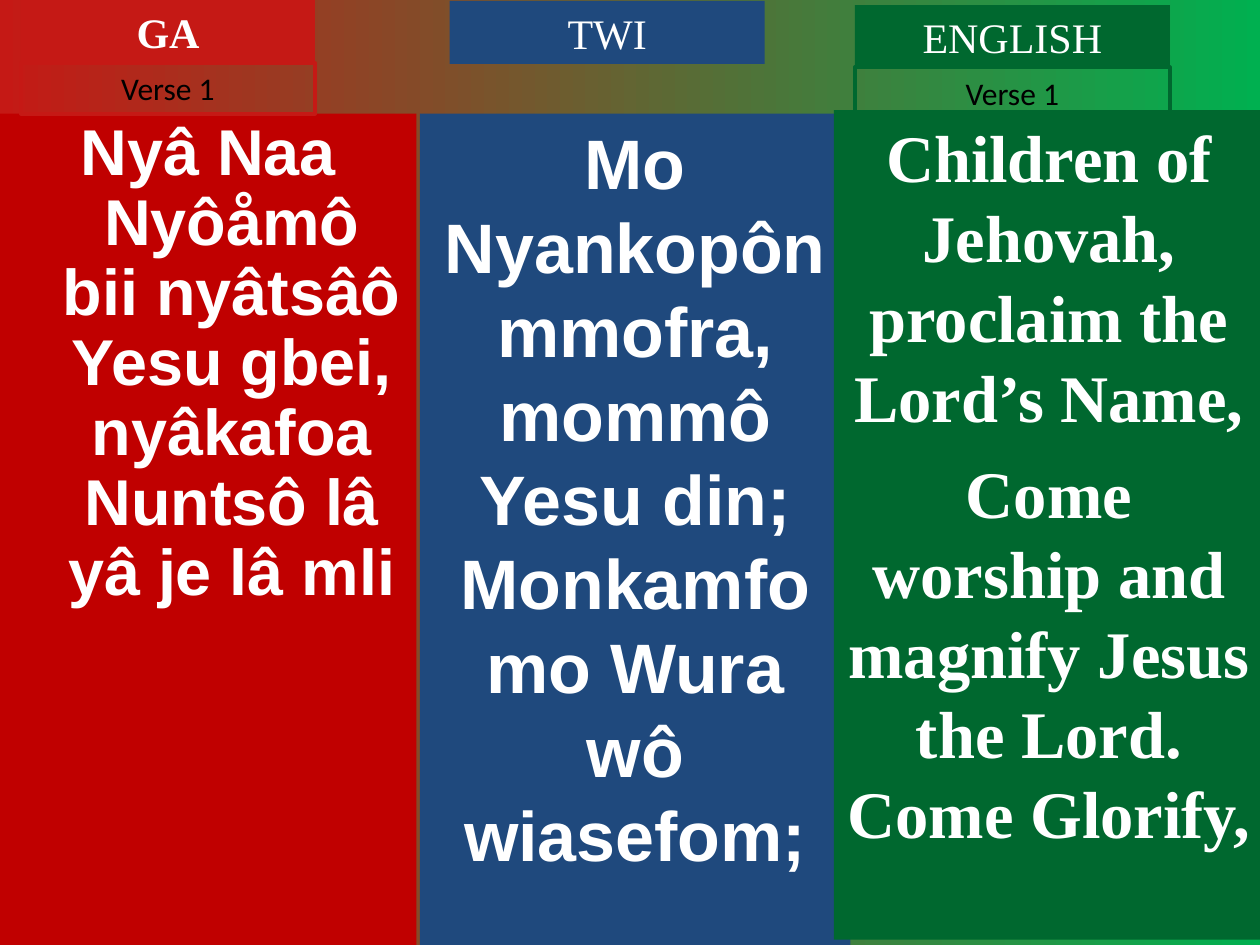
"""Build a three-language hymn verse slide in Ga, Twi and English."""
from dataclasses import dataclass

from pptx import Presentation
from pptx.dml.color import RGBColor
from pptx.enum.shapes import MSO_SHAPE as Shape
from pptx.enum.text import MSO_ANCHOR as Anchor, PP_ALIGN as Align
from pptx.util import Pt


@dataclass(frozen=True)
class Theme:
    red: str = "C51915"
    deep_red: str = "C00000"
    blue: str = "1F497D"
    green: str = "00682F"
    bright_green: str = "00B050"
    white: str = "FFFFFF"
    black: str = "000000"
    serif: str = "Times New Roman"
    sans: str = "Arial"
    label_font: str = "Calibri"
    title_size: int = 24
    label_size: int = 18
    ga_size: int = 37
    twi_size: int = 40
    english_size: int = 38


THEME = Theme()


def color(value):
    return RGBColor.from_string(value)


def paint_background(slide):
    fill = slide.background.fill
    fill.gradient()
    fill.gradient_angle = 0
    for stop, value in zip(fill.gradient_stops, (THEME.red, THEME.bright_green)):
        stop.color.rgb = color(value)


def add_box(slide, bounds, text, font_name, size, text_color, bold=False):
    shape = slide.shapes.add_shape(Shape.RECTANGLE, *map(Pt, bounds))
    shape.shadow.inherit = False
    shape.fill.background()
    shape.line.fill.background()
    frame = shape.text_frame
    frame.text = text
    frame.word_wrap = True
    frame.vertical_anchor = Anchor.TOP
    for paragraph in frame.paragraphs:
        paragraph.alignment = Align.CENTER
        for run in paragraph.runs:
            run.font.name = font_name
            run.font.size = Pt(size)
            run.font.bold = bold
            run.font.color.rgb = color(text_color)
    return shape


def add_filled_box(slide, bounds, text, fill, font_name, size, bold):
    shape = add_box(slide, bounds, text, font_name, size, THEME.white, bold)
    shape.fill.solid()
    shape.fill.fore_color.rgb = color(fill)
    return shape


def add_title(slide, bounds, text, fill, bold=False):
    add_filled_box(slide, bounds, text, fill, THEME.serif, THEME.title_size, bold)


def add_verse_label(slide, bounds, outline):
    shape = add_box(slide, bounds, "Verse 1", THEME.label_font, THEME.label_size, THEME.black)
    shape.line.color.rgb = color(outline)
    shape.line.width = Pt(2.25)


def add_lyrics(slide, bounds, lines, fill, font_name, size, space_before=0):
    shape = add_filled_box(slide, bounds, "\n".join(lines), fill, font_name, size, True)
    for paragraph in shape.text_frame.paragraphs[1:]:
        paragraph.space_before = Pt(space_before)
    return shape


def hang_first_line(shape, indent, line_spacing):
    for paragraph in shape.text_frame.paragraphs:
        paragraph.line_spacing = line_spacing
        properties = paragraph._p.get_or_add_pPr()
        properties.set("marL", str(Pt(indent)))
        properties.set("indent", str(-Pt(indent)))


def main():
    presentation = Presentation()
    presentation.slide_width, presentation.slide_height = Pt(720), Pt(540)
    slide = presentation.slides.add_slide(presentation.slide_layouts[6])
    paint_background(slide)

    ga_lyrics = add_lyrics(
        slide, (0, 65, 238, 475),
        ["Nyâ Naa Nyôåmô bii nyâtsâô Yesu gbei, nyâkafoa Nuntsô lâ yâ je lâ mli"],
        THEME.deep_red, THEME.sans, THEME.ga_size)
    hang_first_line(ga_lyrics, 27, 0.9)
    add_lyrics(
        slide, (240, 65, 246, 475),
        ["Mo Nyankopôn mmofra, mommô Yesu din;", "Monkamfo mo Wura wô wiasefom;"],
        THEME.blue, THEME.sans, THEME.twi_size)
    add_title(slide, (12, 0, 168, 36), "GA", THEME.red, bold=True)
    add_title(slide, (257, 0.5, 180, 36), "TWI", THEME.blue)
    add_verse_label(slide, (12, 36, 168, 29), THEME.red)
    add_lyrics(
        slide, (476.5, 63, 246, 474),
        ["Children of Jehovah, proclaim the Lord’s Name,",
         "Come worship and magnify Jesus the Lord. Come Glorify,"],
        THEME.green, THEME.serif, THEME.english_size, space_before=9.5)
    add_title(slide, (488.5, 3, 180, 36), "ENGLISH", THEME.green)
    add_verse_label(slide, (488.5, 38.5, 180, 29), THEME.green)

    presentation.save("out.pptx")


if __name__ == "__main__":
    main()
